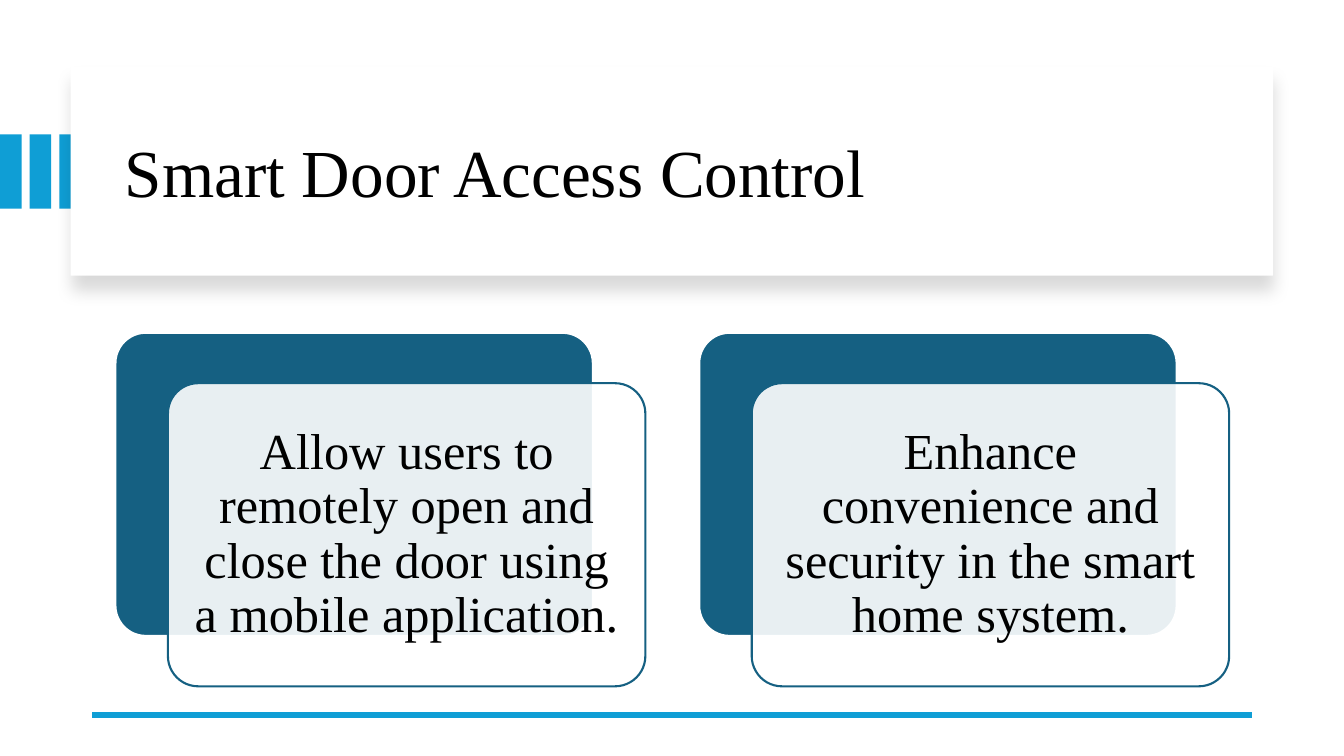
from lxml import etree
from pptx import Presentation
from pptx.dml.color import RGBColor
from pptx.enum.shapes import MSO_CONNECTOR, MSO_SHAPE as SHAPE
from pptx.enum.text import MSO_ANCHOR, MSO_AUTO_SIZE, PP_ALIGN
from pptx.oxml.ns import qn
from pptx.util import Pt

WHITE = RGBColor(0xFF, 0xFF, 0xFF)
BLACK = RGBColor(0x00, 0x00, 0x00)
SKY = RGBColor(0x0F, 0x9E, 0xD5)
TEAL = RGBColor(0x15, 0x60, 0x82)

GOALS = [
    "Allow users to remotely open and close the door using a mobile application.",
    "Enhance convenience and security in the smart home system.",
]


class Deck:
    """Hold the style and the current slide, and draw each kind of element."""

    font = "Times New Roman"

    def __init__(self):
        self.prs = Presentation()
        self.prs.slide_width, self.prs.slide_height = Pt(960), Pt(540)
        self.slide = self.prs.slides.add_slide(self.prs.slide_layouts[5])

    def set_text(self, tf, text, size, align, inset):
        tf.word_wrap = True
        tf.auto_size = MSO_AUTO_SIZE.NONE
        tf.vertical_anchor = MSO_ANCHOR.MIDDLE
        tf.margin_left = tf.margin_right = Pt(inset)
        tf.margin_top = tf.margin_bottom = Pt(inset)
        tf.text = text
        p = tf.paragraphs[0]
        p.alignment = align
        p.line_spacing = 0.9
        font = p.runs[0].font
        font.name, font.size, font.color.rgb = self.font, Pt(size), BLACK

    def title(self, text, x, y, w, h):
        sp = self.slide.shapes.title
        sp.left, sp.top, sp.width, sp.height = Pt(x), Pt(y), Pt(w), Pt(h)
        self.set_text(sp.text_frame, text, 48, PP_ALIGN.LEFT, 7.2)
        sp.element.getparent().append(sp.element)

    def text(self, text, x, y, w, h):
        sp = self.slide.shapes.add_textbox(Pt(x), Pt(y), Pt(w), Pt(h))
        self.set_text(sp.text_frame, text, 36, PP_ALIGN.CENTER, 10.8)

    def box(self, kind, x, y, w, h, fill, line=None):
        sp = self.slide.shapes.add_shape(kind, Pt(x), Pt(y), Pt(w), Pt(h))
        sp.shadow.inherit = False
        sp.fill.solid()
        sp.fill.fore_color.rgb = fill
        if line is None:
            sp.line.fill.background()
        else:
            sp.line.color.rgb, sp.line.width = line, Pt(1.5)
        if kind == SHAPE.ROUNDED_RECTANGLE:
            sp.adjustments[0] = 0.1
        return sp

    def alpha(self, clr, percent):
        etree.SubElement(clr, qn("a:alpha"), val=str(percent * 1000))

    def panel(self, x, y, w, h):
        sp = self.box(SHAPE.RECTANGLE, x, y, w, h, WHITE)
        effects = sp.element.spPr.find(qn("a:effectLst"))
        shadow = etree.SubElement(
            effects, qn("a:outerShdw"), blurRad=str(Pt(11)), dist=str(Pt(10)),
            dir="5400000", algn="t", rotWithShape="0")
        self.alpha(etree.SubElement(shadow, qn("a:srgbClr"), val=str(BLACK)), 15)

    def card(self, text, x, y, w, h):
        self.box(SHAPE.ROUNDED_RECTANGLE, x, y, w, h, TEAL, WHITE)
        x, y = x + 37.5, y + 36
        sp = self.box(SHAPE.ROUNDED_RECTANGLE, x, y, w, h, WHITE, TEAL)
        fill = sp.element.spPr.find(qn("a:solidFill"))
        self.alpha(fill.find(qn("a:srgbClr")), 90)
        self.text(text, x + 6.5, y + 6.5, w - 13, h - 13)

    def rule(self, x1, x2, y):
        ln = self.slide.shapes.add_connector(
            MSO_CONNECTOR.STRAIGHT, Pt(x1), Pt(y), Pt(x2), Pt(y))
        ln.line.color.rgb, ln.line.width = SKY, Pt(4.5)
        etree.SubElement(ln.element.spPr, qn("a:effectLst"))


def main():
    deck = Deck()
    for i in range(3):
        deck.box(SHAPE.RECTANGLE, 21.2 * i, 96, 15.4, 53, SKY)
    deck.panel(50.5, 48, 859, 149)
    deck.title("Smart Door Access Control", 82, 64, 801.5, 122.5)
    deck.rule(894, 66, 510.5)
    for i, goal in enumerate(GOALS):
        deck.card(goal, 82.5 + 417 * i, 237.75, 341, 216.5)
    deck.prs.save("out.pptx")


if __name__ == "__main__":
    main()
